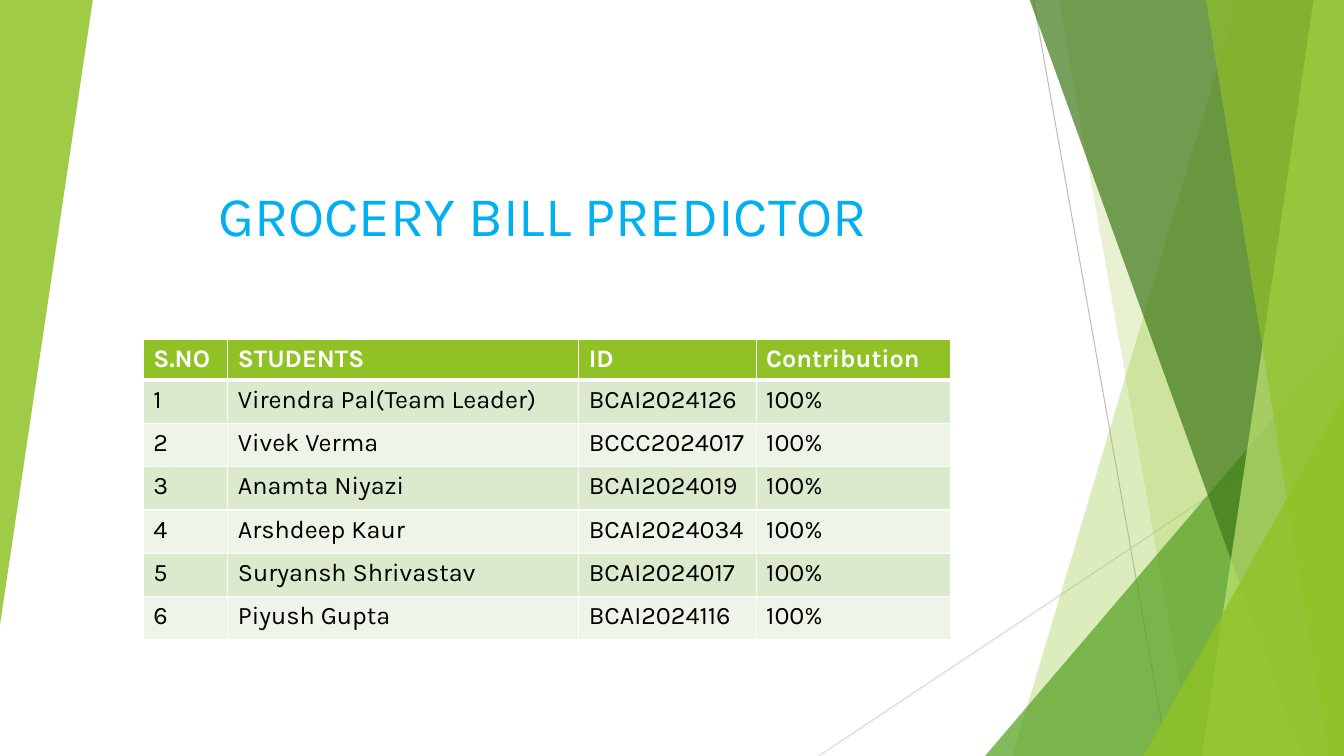
from lxml.etree import SubElement
from pptx import Presentation
from pptx.dml.color import RGBColor
from pptx.enum.shapes import MSO_CONNECTOR, MSO_SHAPE
from pptx.enum.text import MSO_ANCHOR, PP_ALIGN
from pptx.oxml.ns import qn
from pptx.util import Inches, Pt

WHITE = RGBColor(0xFF, 0xFF, 0xFF)
BLACK = RGBColor(0x00, 0x00, 0x00)
SKY_BLUE = RGBColor(0x00, 0xB0, 0xF0)
LIME = RGBColor(0x90, 0xC2, 0x26)
PALE_LIME = RGBColor(0xC0, 0xE4, 0x74)
GREEN = RGBColor(0x54, 0xA0, 0x21)
DARK_GREEN = RGBColor(0x3F, 0x78, 0x19)
ROW_DARK = RGBColor(0xDB, 0xE9, 0xCD)
ROW_LIGHT = RGBColor(0xEE, 0xF4, 0xE8)
GREY = RGBColor(0xBF, 0xBF, 0xBF)
LIGHT_GREY = RGBColor(0xD9, 0xD9, 0xD9)

RIGHT, BOTTOM, BAND_TOP = 13.33, 7.5, -0.01


def write_text(text_frame, text, size=18, color=BLACK, bold=False, align=PP_ALIGN.LEFT):
    paragraph = text_frame.paragraphs[0]
    paragraph.alignment = align
    run = paragraph.add_run()
    run.text = text
    run.font.name = "Karla"
    run.font.size = Pt(size)
    run.font.bold = bold
    run.font.color.rgb = color


def paint(shape, color, opacity):
    """Give the shape a translucent fill, no outline and no shadow."""
    shape.shadow.inherit = False
    shape.line.fill.background()
    shape.fill.solid()
    shape.fill.fore_color.rgb = color
    color_element = shape.fill._xPr.find(qn("a:solidFill"))[0]
    SubElement(color_element, qn("a:alpha"), val=str(opacity * 1000))


presentation = Presentation()
presentation.slide_width = Inches(RIGHT)
presentation.slide_height = Inches(BOTTOM)
slide = presentation.slides.add_slide(presentation.slide_layouts[6])
shapes = slide.shapes

# Thin background lines
for x1, y1, x2, y2, color in [
    (10.25, 0, 11.58, BOTTOM, GREY),
    (RIGHT, 4.03, 8.12, BOTTOM, LIGHT_GREY),
]:
    line = shapes.add_connector(
        MSO_CONNECTOR.STRAIGHT, Inches(x1), Inches(y1), Inches(x2), Inches(y2)
    )
    line.line.color.rgb = color
    line.line.width = Pt(0.75)
    SubElement(line._element.spPr, qn("a:effectLst"))

# Facets along the right edge, back to front:
# a band has its top-left and bottom-left x, a triangle its left and top
for kind, first, second, color, opacity in [
    ("band", 12.28, 10.04, LIME, 30),
    ("band", 10.5, 11.83, LIME, 20),
    ("triangle", 9.77, 3.33, GREEN, 72),
    ("band", 10.21, 12.91, DARK_GREEN, 70),
    ("band", 13.03, 11.92, PALE_LIME, 70),
    ("band", 11.96, 13.18, LIME, 65),
    ("triangle", 11.34, 3.93, LIME, 80),
]:
    if kind == "band":
        builder = shapes.build_freeform(Inches(first), Inches(BAND_TOP))
        corners = [(RIGHT, BAND_TOP), (RIGHT, BOTTOM), (second, BOTTOM)]
        builder.add_line_segments([(Inches(x), Inches(y)) for x, y in corners])
        facet = builder.convert_to_shape()
    else:
        facet = shapes.add_shape(
            MSO_SHAPE.ISOSCELES_TRIANGLE, Inches(first), Inches(second),
            Inches(RIGHT - first), Inches(BOTTOM - second),
        )
        facet.adjustments[0] = 1
    paint(facet, color, opacity)

left_facet = shapes.add_shape(
    MSO_SHAPE.ISOSCELES_TRIANGLE, Inches(0), Inches(0), Inches(0.92), Inches(6.2)
)
left_facet.adjustments[0] = 1
left_facet.rotation = 180
paint(left_facet, LIME, 85)

title = shapes.add_textbox(Inches(1.42), Inches(1.36), Inches(7.92), Inches(1.15))
title.text_frame.word_wrap = True
title.text_frame.vertical_anchor = MSO_ANCHOR.BOTTOM
write_text(title.text_frame, "GROCERY BILL PREDICTOR", size=40, color=SKY_BLUE,
           align=PP_ALIGN.CENTER)

# Students table
students = [
    ("Virendra Pal(Team Leader)", "BCAI2024126"),
    ("Vivek Verma", "BCCC2024017"),
    ("Anamta Niyazi", "BCAI2024019"),
    ("Arshdeep Kaur", "BCAI2024034"),
    ("Suryansh Shrivastav", "BCAI2024017"),
    ("Piyush Gupta", "BCAI2024116"),
]
rows = [("S.NO", "STUDENTS", "ID", "Contribution")]
rows += [(str(n), name, code, "100%") for n, (name, code) in enumerate(students, 1)]
column_widths = [0.84, 3.48, 1.76, 1.93]

table = shapes.add_table(
    len(rows), len(column_widths), Inches(1.42), Inches(3.37), Inches(8.01), Inches(2.96)
).table
for column, width in zip(table.columns, column_widths):
    column.width = Inches(width)

for row_index, row in enumerate(rows):
    is_header = row_index == 0
    table.rows[row_index].height = Inches(0.38 if is_header else 0.43)
    if is_header:
        fill = LIME
    else:
        fill = ROW_DARK if row_index % 2 else ROW_LIGHT
    for column_index, text in enumerate(row):
        cell = table.cell(row_index, column_index)
        write_text(cell.text_frame, text, color=WHITE if is_header else BLACK,
                   bold=is_header)
        properties = cell._tc.get_or_add_tcPr()
        for side in "LRTB":
            under_header = (side, row_index) in [("B", 0), ("T", 1)]
            border = SubElement(properties, qn(f"a:ln{side}"),
                                w=str(Pt(3 if under_header else 1)))
            border_fill = SubElement(border, qn("a:solidFill"))
            SubElement(border_fill, qn("a:srgbClr"), val=str(WHITE))
        cell.fill.solid()
        cell.fill.fore_color.rgb = fill

presentation.save("out.pptx")
